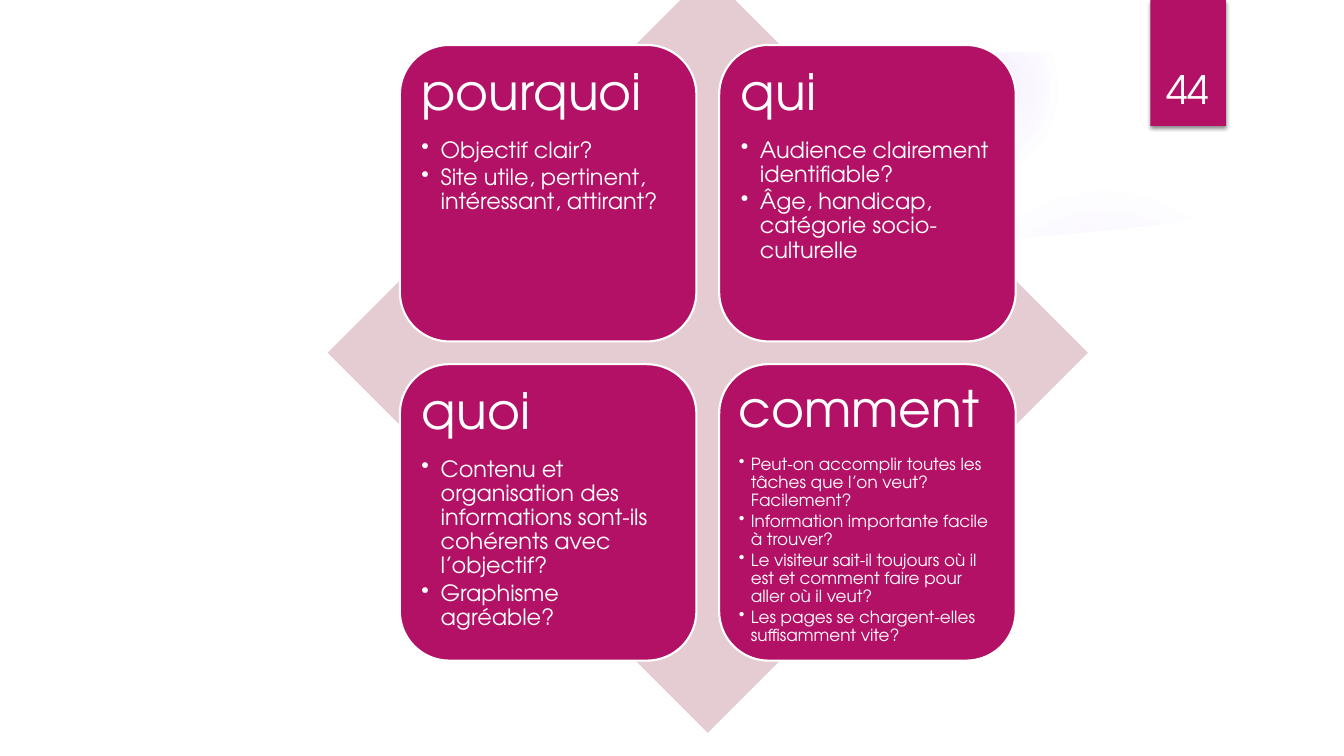
import pptx
import pptx.util
import pptx.oxml
import pptx.oxml.ns
import pptx.dml.color
import pptx.enum.shapes
import pptx.enum.text

WIDE, HIGH = 13.33, 7.5
FONT = "TeX Gyre Adventor"
HUES = {"pink": "B31166", "pale": "E5CCD3", "white": "FFFFFF", "glow": "9B6BF2", "dark": "000000"}
KIND = pptx.enum.shapes.MSO_SHAPE
ALIGN = pptx.enum.text.PP_ALIGN
SIDE = pptx.enum.text.MSO_ANCHOR
NAMES = pptx.oxml.ns.nsdecls("a")

PANELS = [
    ("pourquoi", ["Objectif clair?", "Site utile, pertinent, intéressant, attirant?"], 16),
    ("qui", ["Audience clairement identifiable?", "Âge, handicap, catégorie socio-culturelle"], 16),
    ("quoi", ["Contenu et organisation des informations sont-ils cohérents avec l’objectif?",
              "Graphisme agréable?"], 16),
    ("comment", ["Peut-on accomplir toutes les tâches que l’on veut? Facilement?",
                 "Information importante facile à trouver?",
                 "Le visiteur sait-il toujours où il est et comment faire pour aller où il veut?",
                 "Les pages se chargent-elles suffisamment vite?"], 12),
]


def inch(*sizes):
    return [pptx.util.Inches(size) for size in sizes]


def tint(name):
    return pptx.dml.color.RGBColor.from_string(HUES[name])


def paint(shape, fill, line=None):
    shape.shadow.inherit = False
    shape.fill.solid()
    shape.fill.fore_color.rgb = tint(fill)
    if line:
        shape.line.color.rgb = tint(line)
        shape.line.width = pptx.util.Pt(1.5)
    else:
        shape.line.fill.background()
    return shape


def block(slide, kind, box, fill, line=None):
    return paint(slide.shapes.add_shape(kind, *inch(*box)), fill, line)


def frame(slide, box, pad, anchor=SIDE.TOP):
    text = slide.shapes.add_textbox(*inch(*box)).text_frame
    text.word_wrap = True
    text.vertical_anchor = anchor
    text.margin_left, text.margin_right, text.margin_top, text.margin_bottom = inch(*pad)
    return text


def write(par, text, size=16, align=ALIGN.LEFT, lead=None, after=0, dent=0):
    par.alignment = align
    props = par._p.get_or_add_pPr()
    if lead:
        par.line_spacing = lead
    if after:
        props.append(pptx.oxml.parse_xml(
            f'<a:spcAft {NAMES}><a:spcPct val="{after * 1000}"/></a:spcAft>'))
    if dent:
        par.level = 1
        props.set("marL", str(inch(dent)[0]))
        props.set("indent", str(-inch(dent)[0]))
        props.append(pptx.oxml.parse_xml(f'<a:buChar {NAMES} char="•"/>'))
    run = par.add_run()
    run.text = text
    run.font.name = FONT
    run.font.size = pptx.util.Pt(size)
    run.font.color.rgb = tint("white")


def glow(slide, box, stops):
    shape = block(slide, KIND.OVAL, box, "glow")
    marks = "".join(
        f'<a:gs pos="{spot * 1000}"><a:srgbClr val="{HUES["glow"]}">'
        f'<a:alpha val="{alpha * 1000}"/></a:srgbClr></a:gs>' for spot, alpha in stops)
    fade = pptx.oxml.parse_xml(
        f'<a:gradFill {NAMES}><a:gsLst>{marks}</a:gsLst><a:path path="circle">'
        '<a:fillToRect l="50000" t="50000" r="50000" b="50000"/></a:path></a:gradFill>')
    solid = shape._element.spPr.find(pptx.oxml.ns.qn("a:solidFill"))
    solid.getparent().replace(solid, fade)


def decor(slide):
    glow(slide, (9.41, 1.83, 3.08, 3.08), [(0, 7), (36, 6), (69, 0)])
    glow(slide, (8.75, 0.01, 1.75, 1.75), [(0, 14), (36, 7), (73, 0)])
    curve = [(12, 2.17), (11.16, 2.27), (10.32, 2.35), (9.49, 2.41), (8.67, 2.45),
             (7.34, 2.48), (7.34, 7), (12.84, 7)]
    hill = slide.shapes.build_freeform(*inch(12.84, 2.04), scale=1.0)
    hill.add_line_segments([inch(*point) for point in curve], close=True)
    paint(hill.convert_to_shape(), "white")
    block(slide, KIND.RECTANGLE, (0, 0, WIDE, 0.52), "white")


def ribbon(slide, box):
    left, top, wide, high = box
    flag = block(slide, KIND.RECTANGLE, box, "pink")
    cast = flag._element.spPr.find(pptx.oxml.ns.qn("a:effectLst"))
    cast.append(pptx.oxml.parse_xml(
        f'<a:outerShdw {NAMES} blurRad="38100" dist="25400" dir="5400000" rotWithShape="0">'
        f'<a:srgbClr val="{HUES["dark"]}"><a:alpha val="45000"/></a:srgbClr></a:outerShdw>'))
    text = frame(slide, (left - 0.09, top + 0.32, wide + 0.17, 0.84),
                 (0.1, 0.1, 0.05, 0.05), SIDE.BOTTOM)
    write(text.paragraphs[0], "44", size=28, align=ALIGN.CENTER)


def panel(slide, box, head, items, size):
    left, top, wide, high = box
    block(slide, KIND.ROUNDED_RECTANGLE, box, "pink", "white")
    inset = wide * 0.049
    pad, dent = (0.07, 0.19) if size == 16 else (0.05, 0.12)
    text = frame(slide, (left + inset, top + inset, wide - 2 * inset, high - 2 * inset), [pad] * 4)
    write(text.paragraphs[0], head, size=36, lead=0.9, after=35)
    for item in items:
        write(text.add_paragraph(), item, size=size, lead=0.9, after=15, dent=dent)


def matrix(slide, box):
    left, top, side, _ = box
    block(slide, KIND.DIAMOND, box, "pale")
    edge, cell, step = side * 0.095, side * 0.39, side * 0.42
    for place, (head, items, size) in enumerate(PANELS):
        row, col = divmod(place, 2)
        spot = (left + edge + col * step, top + edge + row * step, cell, cell)
        panel(slide, spot, head, items, size)


def main():
    deck = pptx.Presentation()
    deck.slide_width, deck.slide_height = inch(WIDE, HIGH)
    slide = deck.slides.add_slide(deck.slide_layouts[6])
    decor(slide)
    ribbon(slide, (11.41, 0, 0.75, 1.25))
    matrix(slide, (3.25, -0.27, 7.54, 7.54))
    deck.save("out.pptx")


if __name__ == "__main__":
    main()
